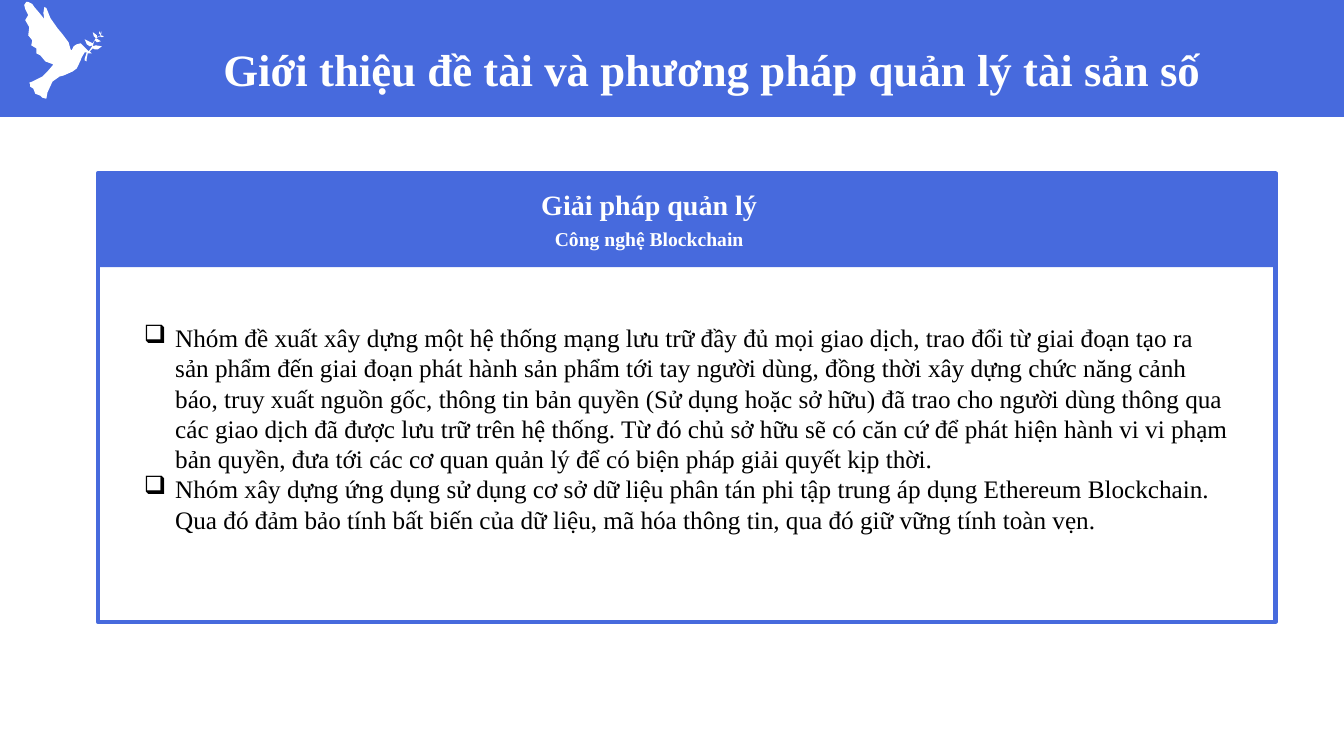
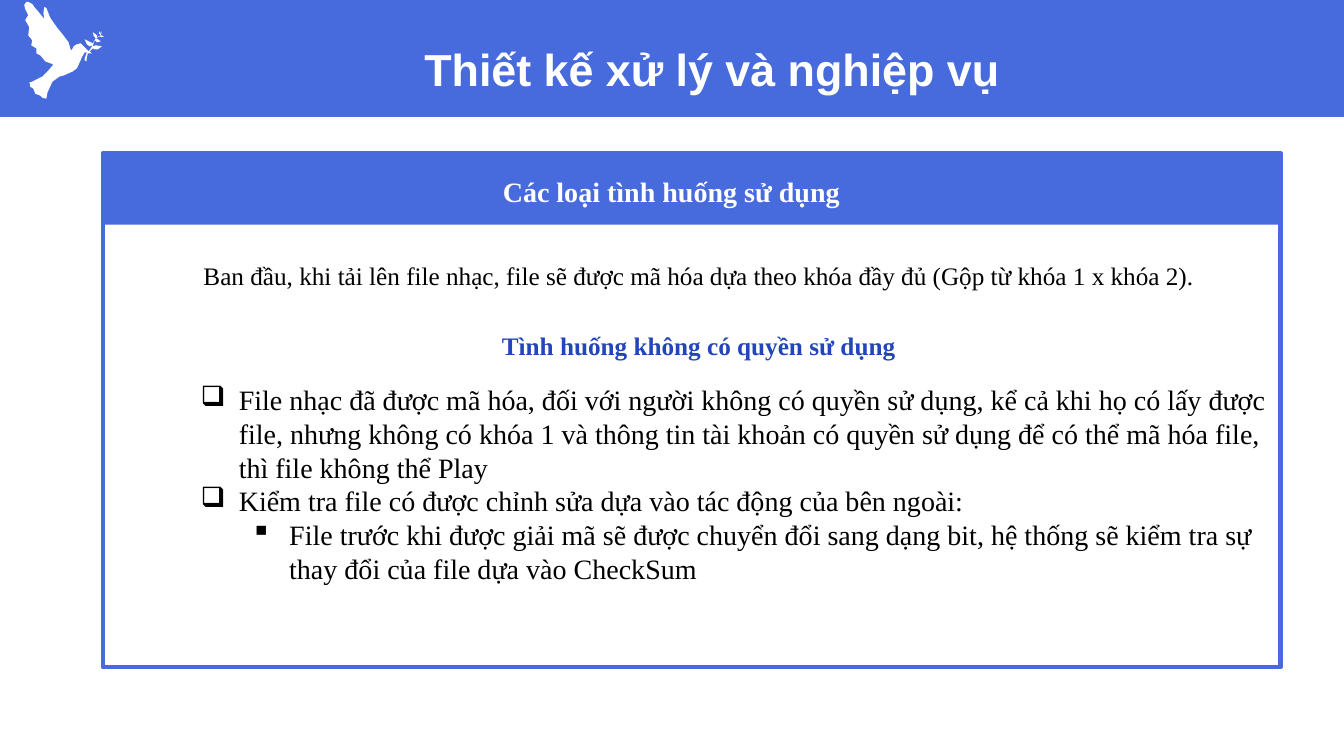
import pptx
import pptx.dml.color
import pptx.enum.shapes
import pptx.enum.text
import pptx.util
import lxml.etree
import pptx.oxml.ns

Inches = pptx.util.Inches
Pt = pptx.util.Pt
ALIGN = pptx.enum.text.PP_ALIGN
ANCHOR = pptx.enum.text.MSO_ANCHOR

COLORS = {"blue": "476ADD", "deep_blue": "2245B9", "white": "FFFFFF", "black": "000000"}
SERIF = "Times New Roman"
SLIDE_WIDTH, SLIDE_HEIGHT = 13.33, 7.5
PANEL_WIDTH = 11.68

DOVE_OUTLINE = [
    (35, 93), (33, 88), (30, 86), (30, 84), (29, 82), (32, 81), (42, 76), (47, 71),
    (53, 64), (45, 61), (40, 55), (36, 53), (36, 48), (31, 45), (32, 40), (28, 35),
    (29, 27), (25, 20), (28, 15), (25, 9), (24, 5), (26, 2), (28, 2), (32, 4),
    (34, 7), (40, 14), (44, 19), (43, 13), (44, 7), (46, 8), (50, 18), (57, 28),
    (62, 34), (68, 42), (70, 49), (71, 50), (73, 46), (76, 44), (80, 43), (85, 48),
    (88, 51), (92, 45), (89, 46), (86, 44), (84, 39), (88, 41), (92, 43), (95, 38),
    (93, 36), (92, 32), (96, 35), (96, 37), (100, 35), (98, 33), (99, 31), (100, 34),
    (101, 31), (100, 35), (103, 36), (101, 37), (99, 36), (95, 38), (97, 39), (100, 41),
    (96, 42), (94, 40), (93, 42), (92, 46), (95, 45), (101, 46), (97, 49), (94, 49),
    (92, 48), (89, 51), (91, 53), (87, 53), (86, 58), (86, 61), (84, 60), (84, 58),
    (86, 52), (84, 52), (81, 57), (80, 60), (76, 68), (72, 71), (63, 75), (59, 76),
    (52, 81), (47, 92), (46, 98), (42, 97), (40, 95),
]


def rgb(color):
    return pptx.dml.color.RGBColor.from_string(COLORS[color])


def place(box):
    return [Inches(length) for length in box]


def paint(shape, fill=None, line=None, line_width=3):
    shape.shadow.inherit = False
    if fill:
        shape.fill.solid()
        shape.fill.fore_color.rgb = rgb(fill)
    else:
        shape.fill.background()
    if line:
        shape.line.color.rgb = rgb(line)
        shape.line.width = Pt(line_width)
    else:
        shape.line.fill.background()


def add_rectangle(slide, box, **style):
    rectangle = pptx.enum.shapes.MSO_SHAPE.RECTANGLE
    paint(slide.shapes.add_shape(rectangle, *place(box)), **style)


def add_dove(slide):
    builder = slide.shapes.build_freeform(*DOVE_OUTLINE[0], scale=Inches(0.01))
    builder.add_line_segments(DOVE_OUTLINE[1:], close=True)
    paint(builder.convert_to_shape(), fill="white")


def indent(paragraph, margin, bullet=None, hanging=0):
    properties = paragraph._p.get_or_add_pPr()
    properties.set("marL", str(Inches(margin)))
    properties.set("indent", str(-Inches(hanging)))
    if bullet:
        mark = lxml.etree.SubElement(properties, pptx.oxml.ns.qn("a:buChar"))
        mark.set("char", bullet)


def add_text(slide, box, *items, size=18, color="black", font=SERIF, bold=False,
             align=ALIGN.LEFT, anchor=ANCHOR.TOP, line_spacing=None,
             before=None, after=None, margin=0, hanging=0):
    frame = slide.shapes.add_textbox(*place(box)).text_frame
    frame.word_wrap = True
    frame.vertical_anchor = anchor
    for index, item in enumerate(items):
        text, bullet, level = (item, None, 0) if isinstance(item, str) else item
        paragraph = frame.paragraphs[0] if index == 0 else frame.add_paragraph()
        paragraph.alignment = align
        paragraph.level = level
        if line_spacing:
            paragraph.line_spacing = line_spacing
        if before:
            paragraph.space_before = Pt(before)
        if after:
            paragraph.space_after = Pt(after)
        indent(paragraph, margin + 0.5 * max(level - 1, 0), bullet, hanging)
        run = paragraph.add_run()
        run.text = text
        run.font.name = font
        run.font.size = Pt(size)
        run.font.bold = bold
        run.font.color.rgb = rgb(color)


def add_titled_slide(deck, title, font=SERIF):
    slide = deck.slides.add_slide(deck.slide_layouts[6])
    add_rectangle(slide, (0, 0, SLIDE_WIDTH, 1.16), fill="blue")
    add_dove(slide)
    add_text(slide, (1.14, 0.32, 11.85, 0.79), title, size=32, color="white", font=font,
             bold=True, align=ALIGN.CENTER, anchor=ANCHOR.MIDDLE,
             line_spacing=0.9, before=10)
    return slide


def add_panel(slide, left, top, height, header_height):
    add_rectangle(slide, (left, top, PANEL_WIDTH, height), line="blue")
    add_rectangle(slide, (left, top, PANEL_WIDTH, header_height), fill="blue")


def add_heading(slide, left, top, text, size=20):
    add_text(slide, (left, top, 9.66, 0.44), text, size=size, color="white",
             bold=True, align=ALIGN.CENTER)


def add_statement(slide, box, text, **style):
    add_text(slide, box, text, line_spacing=1.07, after=8, margin=0.25, **style)


def add_solution_slide(deck):
    slide = add_titled_slide(deck, "Giới thiệu đề tài và phương pháp quản lý tài sản số")
    add_panel(slide, 0.97, 1.72, 4.45, 0.93)
    add_text(
        slide, (1.33, 3.15, 10.96, 2.52),
        ("Nhóm đề xuất xây dựng một hệ thống mạng lưu trữ đầy đủ mọi giao dịch, trao đổi "
         "từ giai đoạn tạo ra sản phẩm đến giai đoạn phát hành sản phẩm tới tay người dùng, "
         "đồng thời xây dựng chức năng cảnh báo, truy xuất nguồn gốc, thông tin bản quyền "
         "(Sử dụng hoặc sở hữu) đã trao cho người dùng thông qua các giao dịch đã được lưu "
         "trữ trên hệ thống. Từ đó chủ sở hữu sẽ có căn cứ để phát hiện hành vi vi phạm bản "
         "quyền, đưa tới các cơ quan quản lý để có biện pháp giải quyết kịp thời.", "❑", 0),
        ("Nhóm xây dựng ứng dụng sử dụng cơ sở dữ liệu phân tán phi tập trung áp dụng "
         "Ethereum Blockchain. Qua đó đảm bảo tính bất biến của dữ liệu, mã hóa thông tin, "
         "qua đó giữ vững tính toàn vẹn.", "❑", 0),
        margin=0.31, hanging=0.31)
    add_heading(slide, 1.61, 1.81, "Giải pháp quản lý")
    add_heading(slide, 1.61, 2.2, "Công nghệ Blockchain", size=14)


def add_use_case_slide(deck):
    slide = add_titled_slide(deck, "Thiết kế xử lý và nghiệp vụ", font="Arial")
    add_panel(slide, 1.02, 1.52, 5.1, 0.71)
    add_heading(slide, 1.83, 1.68, "Các loại tình huống sử dụng")
    add_statement(slide, (1.67, 2.51, 10.37, 0.43),
                  "Ban đầu, khi tải lên file nhạc, file sẽ được mã hóa dựa theo khóa đầy đủ "
                  "(Gộp từ khóa 1 x khóa 2).")
    add_statement(slide, (4.63, 3.21, 4.45, 0.43), "Tình huống không có quyền sử dụng",
                  color="deep_blue", bold=True)
    add_text(
        slide, (1.39, 3.75, 11.35, 2.12),
        ("File nhạc đã được mã hóa, đối với người không có quyền sử dụng, kể cả khi họ có "
         "lấy được file, nhưng không có khóa 1 và thông tin tài khoản có quyền sử dụng để "
         "có thể mã hóa file, thì file không thể Play", "❑", 1),
        ("Kiểm tra file có được chỉnh sửa dựa vào tác động của bên ngoài:", "❑", 1),
        ("File trước khi được giải mã sẽ được chuyển đổi sang dạng bit, hệ thống sẽ kiểm "
         "tra sự thay đổi của file dựa vào CheckSum", "▪", 2),
        size=20, margin=0.88, hanging=0.38)


def main():
    deck = pptx.Presentation()
    deck.slide_width = Inches(SLIDE_WIDTH)
    deck.slide_height = Inches(SLIDE_HEIGHT)
    add_solution_slide(deck)
    add_use_case_slide(deck)
    deck.save("out.pptx")


if __name__ == "__main__":
    main()
